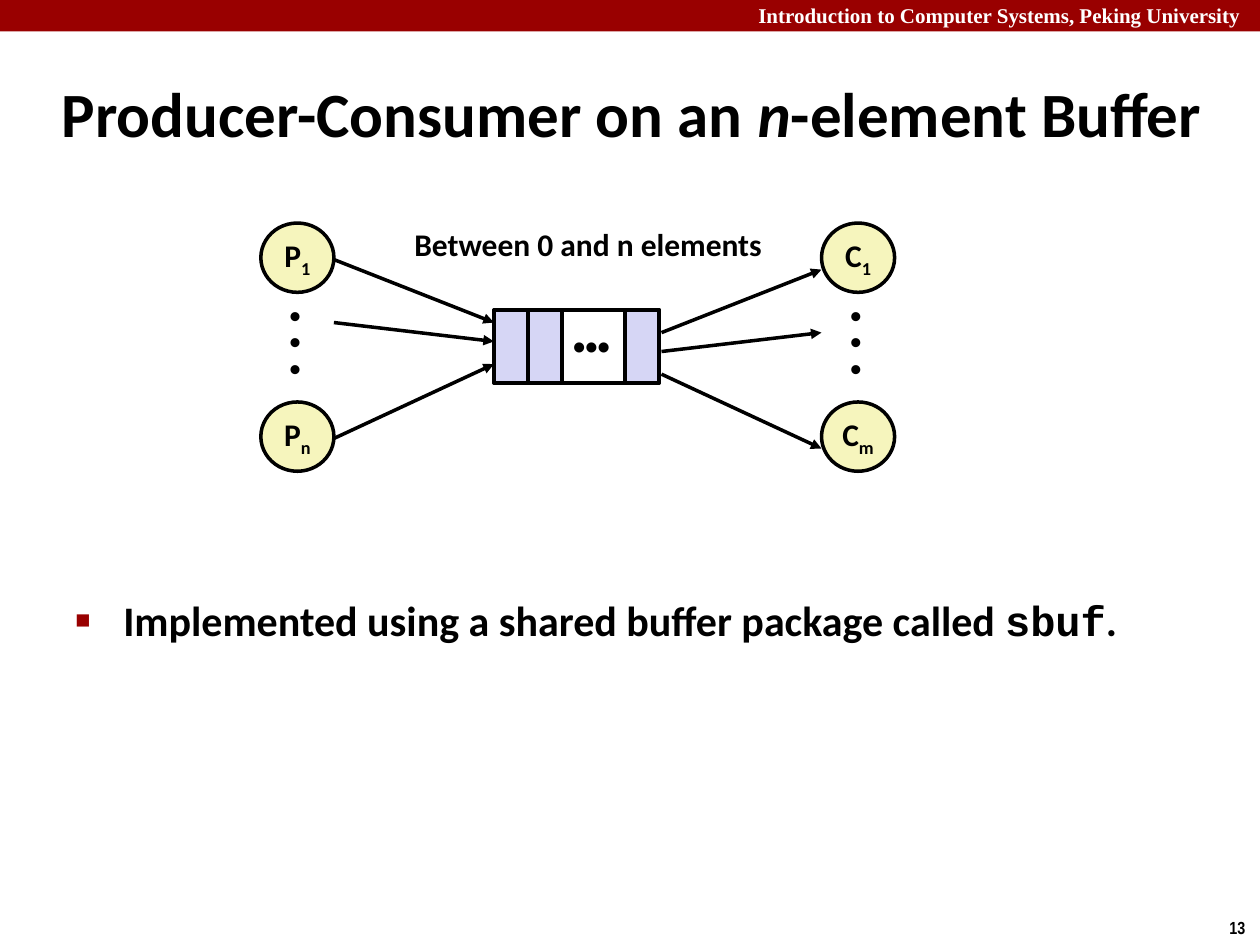
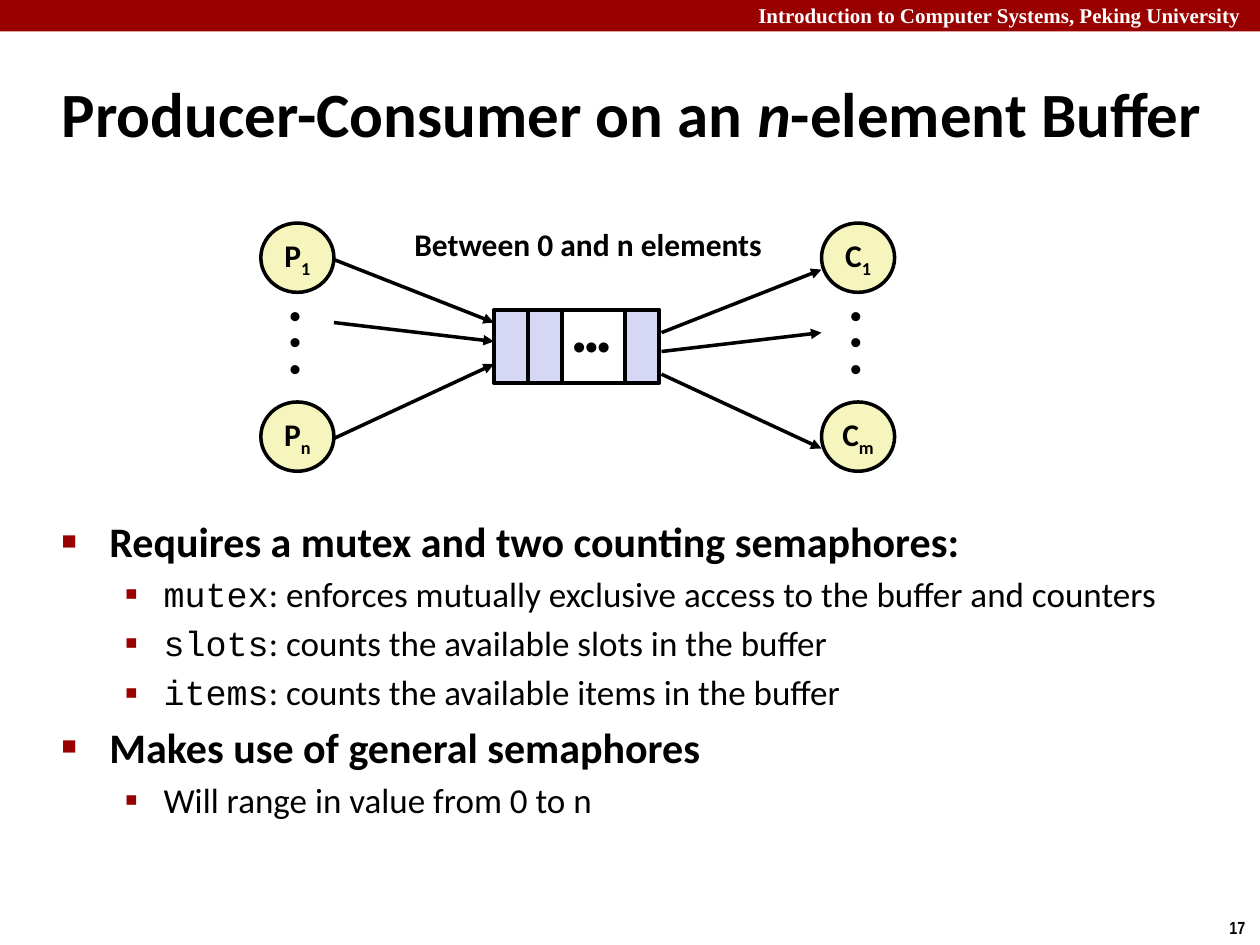
from lxml.etree import SubElement
from pptx import Presentation
from pptx.dml.color import RGBColor
from pptx.enum.shapes import MSO_CONNECTOR, MSO_SHAPE
from pptx.enum.text import MSO_ANCHOR, PP_ALIGN
from pptx.oxml.ns import qn
from pptx.util import Inches, Pt

COLORS = {
    "band": "990000",
    "band_text": "FFFFFF",
    "text": "000000",
    "node": "F6F5BD",
    "cell": "D6D6F5",
}
TITLE = {"name": "Calibri", "size": 36, "bold": True, "color": "text"}
LABEL = {**TITLE, "size": 18}
DOTS = {**LABEL, "name": "Arial"}
HEADER = {"name": "Times New Roman", "size": 12, "bold": True, "color": "band_text"}
PAGE_NUMBER = {"name": "Arial Narrow", "size": 10, "bold": True, "color": "text"}
CODE = {"name": "Courier New"}

LEVELS = [
    {"font": {**TITLE, "size": 24}, "space": 4.8, "left": 0.38, "hanging": 0.38,
     "bullet": "■", "bullet_size": 60},
    {"font": {**TITLE, "size": 20, "bold": False}, "space": 4, "left": 0.81,
     "hanging": 0.31, "bullet": "▪", "bullet_size": 110},
]

NODE_SIZE = (0.58, 0.55)
NODE_TOPS = (1.77, 3.19)
PRODUCER_LEFT, CONSUMER_LEFT = 2.07, 6.52
BUFFER_LEFT, BUFFER_TOP, BUFFER_WIDTH, BUFFER_HEIGHT = 3.92, 2.46, 1.31, 0.58
CELL_WIDTH = 0.27
ARROW_HEIGHTS = [(2.06, 2.56), (2.56, 2.71), (3.48, 2.89)]
CONSUMER_DROP = 0.08


def color(name):
    return RGBColor.from_string(COLORS[name])


def format_font(font, values):
    for attribute, value in values.items():
        if attribute == "color":
            font.color.rgb = color(value)
        else:
            setattr(font, attribute, Pt(value) if attribute == "size" else value)


def add_runs(paragraph, runs, base):
    """Add (text, changes to the base format) pairs as runs."""
    for text, changes in runs:
        run = paragraph.add_run()
        run.text = text
        format_font(run.font, {**base, **changes})


def set_hanging(paragraph, left, hanging):
    properties = paragraph._p.get_or_add_pPr()
    properties.set("marL", str(Inches(left)))
    properties.set("indent", str(-Inches(hanging)))
    return properties


def add_text(slide, box, lines, font, wrap=True, **layout):
    """Add a text box; layout holds paragraph attributes."""
    frame = slide.shapes.add_textbox(*map(Inches, box)).text_frame
    frame.word_wrap = wrap
    for index, line in enumerate(lines):
        paragraph = frame.add_paragraph() if index else frame.paragraphs[0]
        for attribute, value in layout.items():
            setattr(paragraph, attribute, value)
        add_runs(paragraph, [(line, {})], font)


def add_box(slide, kind, box, fill=None, outlined=True):
    shape = slide.shapes.add_shape(kind, *map(Inches, box))
    shape.shadow.inherit = False
    if fill:
        shape.fill.solid()
        shape.fill.fore_color.rgb = color(fill)
    else:
        shape.fill.background()
    if outlined:
        shape.line.color.rgb = color("text")
        shape.line.width = Pt(2)
    else:
        shape.line.fill.background()
    return shape


def add_node(slide, left, top, letter, subscript):
    node = add_box(slide, MSO_SHAPE.OVAL, (left, top, *NODE_SIZE), "node")
    frame = node.text_frame
    settings = {"word_wrap": False, "vertical_anchor": MSO_ANCHOR.MIDDLE,
                "margin_top": 0, "margin_bottom": 0}
    for attribute, value in settings.items():
        setattr(frame, attribute, value)
    paragraph = frame.paragraphs[0]
    paragraph.alignment = PP_ALIGN.CENTER
    add_runs(paragraph, [(letter, {}), (subscript, {})], LABEL)
    paragraph.runs[1]._r.get_or_add_rPr().set("baseline", "-25000")


def add_arrow(slide, start, end):
    arrow = slide.shapes.add_connector(
        MSO_CONNECTOR.STRAIGHT, *map(Inches, (*start, *end)))
    arrow.line.color.rgb = color("text")
    arrow.line.width = Pt(2)
    SubElement(arrow.line._get_or_add_ln(), qn("a:tailEnd"), type="triangle")
    SubElement(arrow._element.spPr, qn("a:effectLst"))


def add_node_column(slide, left, letter, last):
    for top, subscript in zip(NODE_TOPS, ("1", last)):
        add_node(slide, left, top, letter, subscript)
    add_text(slide, (left + 0.13, 2.38, 0.32, 0.75), ["•"] * 3, DOTS,
             wrap=False, line_spacing=0.7)


def add_buffer(slide):
    right_cell = BUFFER_LEFT + BUFFER_WIDTH - CELL_WIDTH
    for left in (BUFFER_LEFT, BUFFER_LEFT + CELL_WIDTH, right_cell):
        add_box(slide, MSO_SHAPE.RECTANGLE,
                (left, BUFFER_TOP, CELL_WIDTH, BUFFER_HEIGHT), "cell")
    add_text(slide, (4.19, 2.62, 1.01, 0.35), ["•••"], {**DOTS, "size": 20},
             alignment=PP_ALIGN.CENTER, line_spacing=0.7)
    add_box(slide, MSO_SHAPE.RECTANGLE,
            (BUFFER_LEFT, BUFFER_TOP, BUFFER_WIDTH, BUFFER_HEIGHT))


def add_diagram(slide):
    add_node_column(slide, PRODUCER_LEFT, "P", "n")
    add_node_column(slide, CONSUMER_LEFT, "C", "m")
    for outer, inner in ARROW_HEIGHTS:
        add_arrow(slide, (PRODUCER_LEFT + NODE_SIZE[0], outer), (BUFFER_LEFT, inner))
        add_arrow(slide, (5.25, inner + CONSUMER_DROP),
                  (CONSUMER_LEFT, outer + CONSUMER_DROP))
    add_buffer(slide)
    add_text(slide, (3.19, 1.74, 3, 0.4), ["Between 0 and n elements"], LABEL,
             wrap=False)


def add_bullets(slide, box, items):
    """Add (level, runs) pairs as a bulleted list."""
    frame = slide.shapes.add_textbox(*map(Inches, box)).text_frame
    frame.word_wrap = True
    for index, (level, runs) in enumerate(items):
        style = LEVELS[level]
        paragraph = frame.add_paragraph() if index else frame.paragraphs[0]
        paragraph.level = level
        properties = set_hanging(paragraph, style["left"], style["hanging"])
        bullet_color = SubElement(properties, qn("a:buClr"))
        SubElement(bullet_color, qn("a:srgbClr"), val=COLORS["band"])
        SubElement(properties, qn("a:buSzPct"), val=str(style["bullet_size"] * 1000))
        SubElement(properties, qn("a:buFont"), typeface="Arial")
        SubElement(properties, qn("a:buChar"), char=style["bullet"])
        if index:
            paragraph.space_before = Pt(style["space"])
        add_runs(paragraph, runs, style["font"])


def format_title(title):
    box = {"left": 0.39, "top": 0.48, "width": 9.36, "height": 0.83}
    for attribute, value in box.items():
        setattr(title, attribute, Inches(value))
    title.text_frame.vertical_anchor = MSO_ANCHOR.MIDDLE
    paragraph = title.text_frame.paragraphs[0]
    paragraph.alignment = PP_ALIGN.LEFT
    set_hanging(paragraph, 0.13, 0.13)
    add_runs(paragraph, [("Producer-Consumer on an ", {}), ("n", {"italic": True}),
                         ("-element Buffer", {})], TITLE)


def add_buffer_slide(presentation, number, bullet_box, bullets):
    slide = presentation.slides.add_slide(presentation.slide_layouts[5])
    add_box(slide, MSO_SHAPE.RECTANGLE, (0, 0, 10, 0.25), "band", outlined=False)
    add_text(slide, (5.92, -0.03, 4.15, 0.3),
             ["Introduction to Computer Systems, Peking University"], HEADER)
    add_text(slide, (9.66, 7.23, 0.34, 0.27), [number], PAGE_NUMBER, wrap=False)
    format_title(slide.shapes.title)
    add_bullets(slide, bullet_box, bullets)
    add_diagram(slide)


def main():
    presentation = Presentation()
    presentation.slide_width = Inches(10)
    presentation.slide_height = Inches(7.5)
    add_buffer_slide(presentation, "13", (0.5, 4.67, 8.98, 1.18), [
        (0, [("Implemented using a shared buffer package called ", {}),
             ("sbuf", CODE), (".", {})]),
    ])
    semaphores = {
        "mutex": "enforces mutually exclusive access to the buffer and counters",
        "slots": "counts the available slots in the buffer",
        "items": "counts the available items in the buffer",
    }
    add_buffer_slide(presentation, "17", (0.39, 4.04, 8.98, 1.93), [
        (0, [("Requires a mutex and two counting semaphores:", {})]),
        *((1, [(name, CODE), (f": {purpose}", {})])
          for name, purpose in semaphores.items()),
        (0, [("Makes use of general semaphores", {})]),
        (1, [("Will range in value from 0 to n", {})]),
    ])
    presentation.save("out.pptx")


if __name__ == "__main__":
    main()
